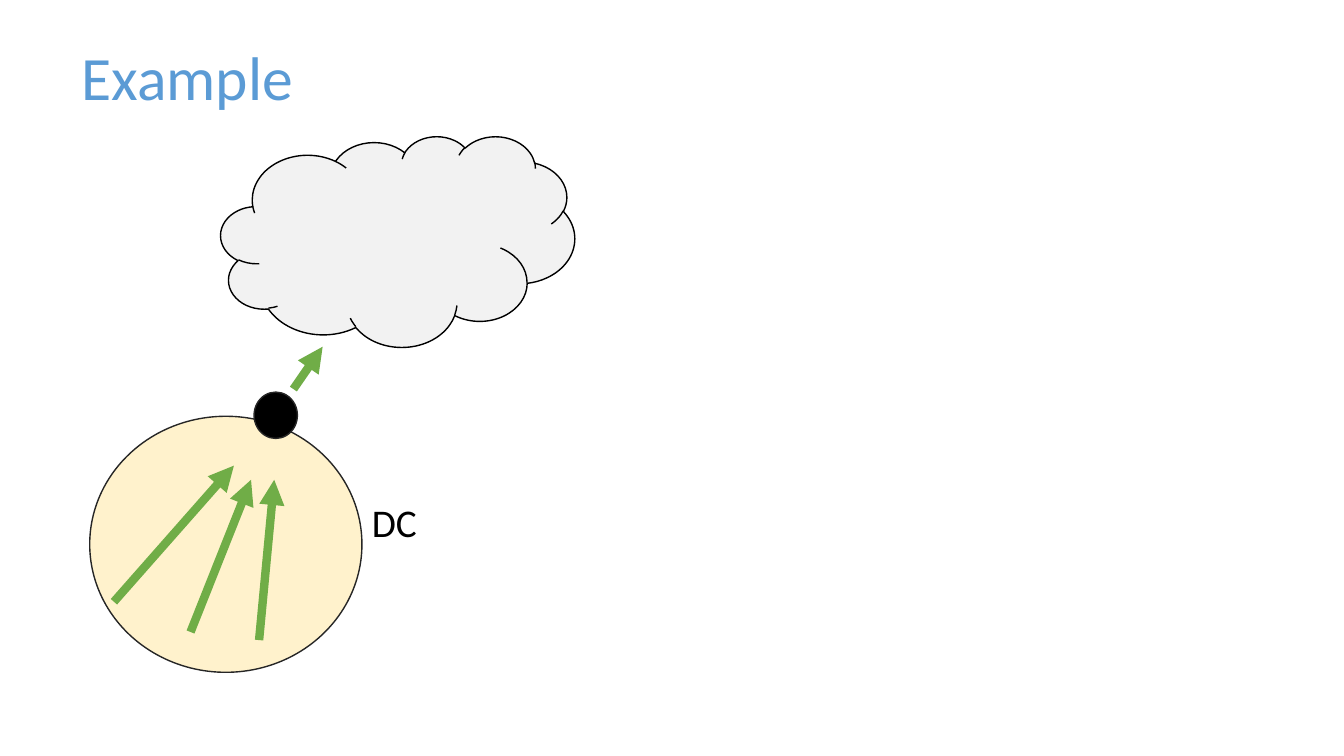
from pptx import Presentation
from pptx import util as u
from pptx.dml.color import RGBColor
from pptx.enum import shapes, text
from pptx.oxml.ns import qn
from lxml import etree

BLACK = RGBColor(0x00, 0x00, 0x00)
CHARCOAL = RGBColor(0x26, 0x26, 0x26)
CREAM = RGBColor(0xFF, 0xF2, 0xCC)
GREY = RGBColor(0xF2, 0xF2, 0xF2)
GREEN = RGBColor(0x70, 0xAD, 0x47)
BLUE = RGBColor(0x5B, 0x9B, 0xD5)


class Diagram:
    FONT = "Calibri"
    OUTLINE = u.Pt(1)
    ARROW = u.Pt(6)

    def __init__(self, slide):
        self.s = slide

    def label(self, words, box, size, color, anchor=text.MSO_ANCHOR.TOP):
        tf = self.s.shapes.add_textbox(*map(u.Inches, box)).text_frame
        tf.word_wrap = True
        tf.vertical_anchor = anchor
        tf.text = words
        p = tf.paragraphs[0]
        p.line_spacing = 0.9
        font = p.runs[0].font
        font.name, font.size = self.FONT, u.Pt(size)
        font.color.rgb = color

    def shape(self, kind, box, fill, line):
        sp = self.s.shapes.add_shape(kind, *map(u.Inches, box))
        sp.shadow.inherit = False
        sp.fill.solid()
        sp.fill.fore_color.rgb = fill
        sp.line.color.rgb = line
        sp.line.width = self.OUTLINE

    def arrow(self, start, end):
        c = self.s.shapes.add_connector(
            shapes.MSO_CONNECTOR.STRAIGHT, *map(u.Inches, start + end))
        c.line.color.rgb = GREEN
        c.line.width = self.ARROW
        ln = c.line._get_or_add_ln()
        etree.SubElement(ln, qn("a:tailEnd"), type="triangle")
        etree.SubElement(c._element.spPr, qn("a:effectLst"))


def main():
    prs = Presentation()
    prs.slide_width, prs.slide_height = u.Inches(13.33), u.Inches(7.5)
    d = Diagram(prs.slides.add_slide(prs.slide_layouts[6]))

    d.label("DC", (3.59, 4.95, 0.93, 0.66), 28, BLACK)

    oval = shapes.MSO_SHAPE.OVAL
    d.shape(oval, (0.89, 4.13, 2.7, 2.54), CREAM, CHARCOAL)
    d.shape(oval, (2.52, 3.89, 0.43, 0.46), BLACK, CHARCOAL)
    d.shape(shapes.MSO_SHAPE.CLOUD, (2.19, 1.35, 3.51, 2.09), GREY, BLACK)

    for start, end in (
        ((2.91, 3.86), (3.2, 3.44)),
        ((1.13, 5.97), (2.32, 4.62)),
        ((1.89, 6.27), (2.49, 4.76)),
        ((2.57, 6.35), (2.72, 4.76)),
    ):
        d.arrow(start, end)

    d.label("Example", (0.71, 0.07, 11.5, 1.45), 44, BLUE,
            text.MSO_ANCHOR.MIDDLE)
    prs.save("out.pptx")


if __name__ == "__main__":
    main()
